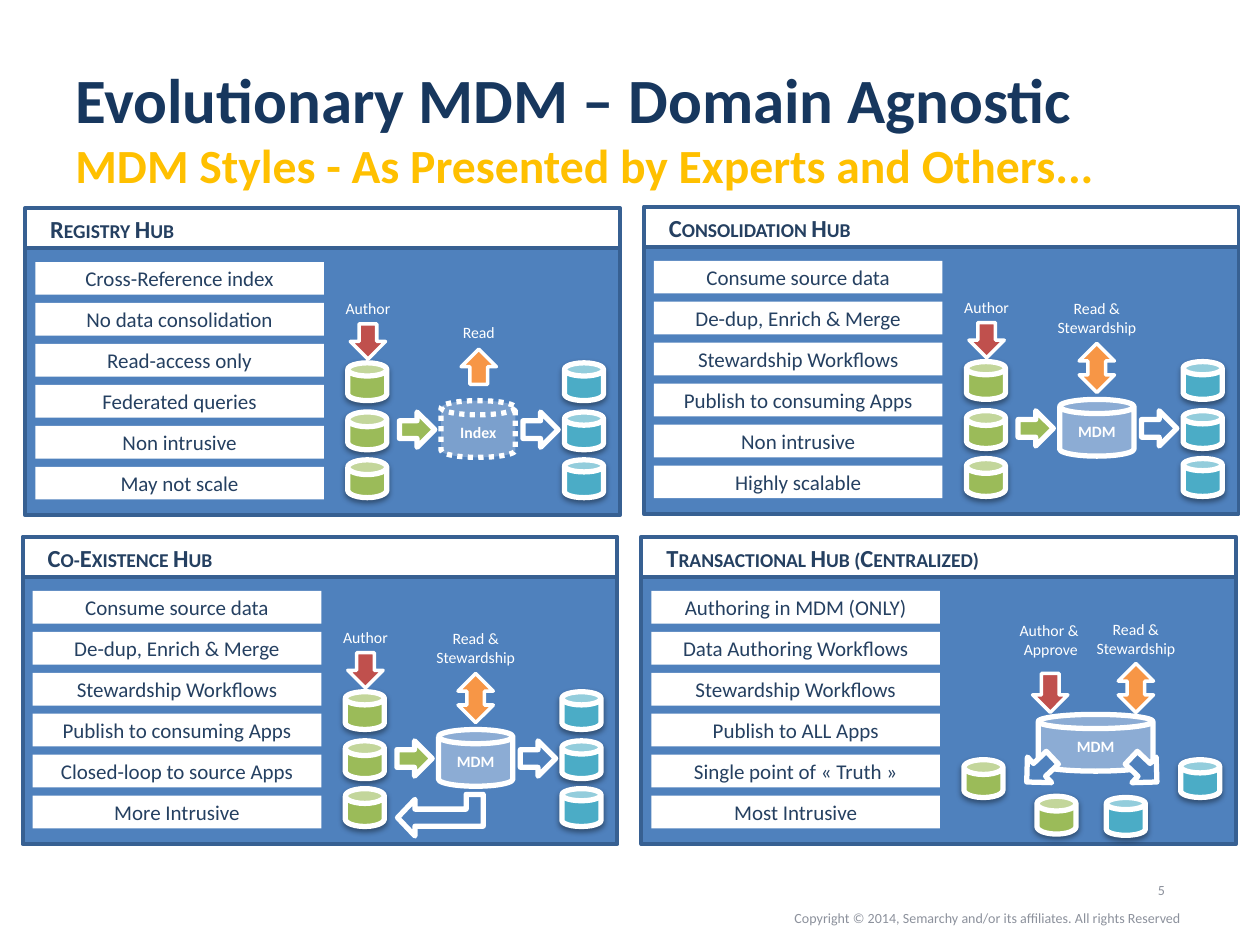
import pptx
import pptx.dml.color
import pptx.enum.dml
import pptx.enum.shapes
import pptx.enum.text
import pptx.oxml
import pptx.oxml.ns
import pptx.util
import lxml.etree

THEME = {
    "font": "Calibri",
    "navy": "17375E", "gold": "FFC000", "ink": "254061", "gray": "8C919C",
    "white": "FFFFFF", "blue": "4F81BD", "border": "376092", "green": "9BBB59",
    "teal": "4BACC6", "orange": "F79646", "red": "C0504D", "shadow": "000000",
    "title": 36, "subtitle": 27.2, "header": 14, "feature": 12, "label": 9, "footer": 8,
}
SHAPE = pptx.enum.shapes.MSO_SHAPE
ALIGN = pptx.enum.text.PP_ALIGN
ANCHOR = pptx.enum.text.MSO_ANCHOR

# Title and footer: text, (left, top, width, height), size, colour, bold, align, anchor, insets
FRAME_TEXTS = [
    ("Copyright © 2014, Semarchy and/or its affiliates. All rights Reserved ",
     (3.2, 7.17, 6.3, 0.2), "footer", "gray", False, ALIGN.RIGHT, ANCHOR.TOP, (0.05, 0.05)),
    ("Evolutionary MDM – Domain Agnostic",
     (0.5, 0.3, 9, 0.78), "title", "navy", True, ALIGN.LEFT, ANCHOR.BOTTOM, (0, 0)),
    ("5", (9.09, 6.95, 0.41, 0.18), "footer", "gray", False, ALIGN.LEFT, ANCHOR.TOP, (0.05, 0.05)),
    ("MDM Styles - As Presented by Experts and Others...",
     (0.5, 1.08, 9, 0.5), "subtitle", "gold", True, ALIGN.LEFT, ANCHOR.TOP, (0, 0.05)),
]

# Diagram parts, placed from the corner of their panel
ROWS = (1.23, 1.62, 2.0)
SOURCES = [("green", 2.56, y, squash) for y, squash in zip(ROWS, (0.35, 0.39, 0.39))]
CONSUMERS = [("teal", 4.28, y, squash) for y, squash in zip(ROWS, (0.35, 0.35, 0.32))]
SMALL, WIDE = (0.28, 0.28), (0.39, 0.28)
# Arrows: preset, colour, position, size, rotation, line width
AUTHOR_ARROW = (SHAPE.RIGHT_ARROW, "red", (2.58, 0.92), SMALL, 90, 2)
IN_ARROW = (SHAPE.RIGHT_ARROW, "green", (2.97, 1.62), SMALL, 0, 3)
OUT_ARROW = (SHAPE.RIGHT_ARROW, "blue", (3.95, 1.62), SMALL, 0, 3)
READ_ARROW = (SHAPE.RIGHT_ARROW, "orange", (3.46, 1.12), SMALL, 270, 2)
STEWARD_ARROW = (SHAPE.LEFT_RIGHT_ARROW, "orange", (3.4, 1.14), WIDE, 270, 2)
LOOP_ARROW = (SHAPE.BENT_UP_ARROW, "blue", (3.15, 1.87), (0.33, 0.68), 90, 3)
# Labels: text, (left, top, width, height)
AUTHOR = ("Author", (2.43, 0.67, 0.58, 0.25))
STEWARD = ("Read &\nStewardship", (3.16, 0.68, 0.87, 0.4))
MDM_HUB = ("MDM", (3.3, 1.53, 0.59, 0.45), 35)

PANELS = [
    {"name": "Registry Hub", "corner": (0.2, 1.65),
     "features": ["Cross-Reference index", "No data consolidation", "Read-access only",
                  "Federated queries", "Non intrusive", "May not scale"],
     "stores": SOURCES + CONSUMERS, "hub": ("Index", MDM_HUB[1], 25),
     "arrows": [IN_ARROW, OUT_ARROW, READ_ARROW, AUTHOR_ARROW],
     "labels": [AUTHOR, ("Read", (3.36, 0.86, 0.48, 0.25))]},
    {"name": "Consolidation Hub", "corner": (5.11, 1.64),
     "features": ["Consume source data", "De-dup, Enrich & Merge", "Stewardship Workflows",
                  "Publish to consuming Apps", "Non intrusive", "Highly scalable"],
     "stores": SOURCES + CONSUMERS, "hub": MDM_HUB,
     "arrows": [IN_ARROW, OUT_ARROW, STEWARD_ARROW, AUTHOR_ARROW],
     "labels": [AUTHOR, STEWARD]},
    {"name": "Co-Existence Hub", "corner": (0.18, 4.26),
     "features": ["Consume source data", "De-dup, Enrich & Merge", "Stewardship Workflows",
                  "Publish to consuming Apps", "Closed-loop to source Apps", "More Intrusive"],
     "stores": SOURCES + CONSUMERS, "hub": MDM_HUB,
     "arrows": [IN_ARROW, OUT_ARROW, STEWARD_ARROW, AUTHOR_ARROW, LOOP_ARROW],
     "labels": [AUTHOR, STEWARD]},
    {"name": "Transactional Hub (Centralized)", "corner": (5.09, 4.26),
     "features": ["Authoring in MDM (ONLY)", "Data Authoring Workflows", "Stewardship Workflows",
                  "Publish to ALL Apps", "Single point of «\u00a0Truth\u00a0»", "Most Intrusive"],
     "stores": [("green", 2.56, 1.77, 0.39), ("green", 3.14, 2.06, 0.39),
                ("teal", 4.28, 1.77, 0.35), ("teal", 3.69, 2.07, 0.32)],
     "hub": ("MDM", (3.15, 1.41, 0.91, 0.45), 35),
     "arrows": [(SHAPE.RIGHT_ARROW, "blue", (3.02, 1.71), SMALL, 136.6, 3),
                (SHAPE.LEFT_RIGHT_ARROW, "orange", (3.73, 1.06), WIDE, 270, 2),
                (SHAPE.RIGHT_ARROW, "red", (3.09, 1.1), (0.31, 0.28), 90, 2),
                (SHAPE.RIGHT_ARROW, "blue", (3.85, 1.71), SMALL, 43.4, 3)],
     "labels": [("Author & \nApprove", (2.89, 0.62, 0.72, 0.4)),
                (STEWARD[0], (3.49, 0.61, 0.87, 0.4))]},
]


def rgb(colour):
    return pptx.dml.color.RGBColor.from_string(THEME[colour])


def inches(box):
    return [pptx.util.Inches(length) for length in box]


def write(holder, text, size, colour, bold=False, align=ALIGN.CENTER, anchor=ANCHOR.MIDDLE, wrap=True):
    frame = holder.text_frame
    frame.text = text
    frame.word_wrap = wrap
    frame.vertical_anchor = anchor
    for paragraph in frame.paragraphs:
        paragraph.alignment = align
        for run in paragraph.runs:
            run.font.name = THEME["font"]
            run.font.size = pptx.util.Pt(THEME[size])
            run.font.bold = bold
            run.font.color.rgb = rgb(colour)
    return frame


def add_preset(slide, preset, box, fill, line=None, width=0):
    part = slide.shapes.add_shape(preset, *inches(box))
    part.shadow.inherit = False
    part.fill.solid()
    part.fill.fore_color.rgb = rgb(fill)
    if line:
        part.line.color.rgb = rgb(line)
        part.line.width = pptx.util.Pt(width)
    else:
        part.line.fill.background()
    return part


def add_child(parent, tag, **attributes):
    return lxml.etree.SubElement(parent, pptx.oxml.ns.qn(tag),
                                 {key: str(value) for key, value in attributes.items()})


def first(part, tag):
    return next(part.element.iter(pptx.oxml.ns.qn(tag)))


def add_store(slide, box, colour, squash):
    store = add_preset(slide, SHAPE.CAN, box, colour, "white", 3)
    store.adjustments[0] = squash
    shadow = add_child(first(store, "a:effectLst"), "a:outerShdw", blurRad=pptx.util.Pt(3.1),
                       dist=pptx.util.Pt(1.6), dir=90 * 60000, rotWithShape=0)
    add_child(add_child(shadow, "a:srgbClr", val=THEME["shadow"]), "a:alpha", val=38000)


def add_hub(slide, text, box, opacity):
    hub = add_preset(slide, SHAPE.CAN, box, "white", "white", 3)
    hub.adjustments[0] = 0.25
    add_child(first(hub, "a:srgbClr"), "a:alpha", val=opacity * 1000)
    if text == "Index":
        hub.line.dash_style = pptx.enum.dml.MSO_LINE.ROUND_DOT
    write(hub, text, "label", "white", bold=True)


def add_arrow(slide, preset, colour, box, rotation, width):
    arrow = add_preset(slide, preset, box, colour, "white", width)
    arrow.rotation = rotation
    if preset == SHAPE.BENT_UP_ARROW:
        for index, share in enumerate((0.41, 0.44, 0.42)):
            arrow.adjustments[index] = share
        first(arrow, "a:xfrm").set("flipV", "1")


def add_panel(slide, panel):
    left, top = panel["corner"]

    def place(x, y, *size):
        return (left + x, top + y, *size)

    header = add_preset(slide, SHAPE.RECTANGLE, place(0, 0, 4.72, 2.42), "white", "border", 2.25)
    name = write(header, panel["name"], "header", "ink", True, ALIGN.LEFT, ANCHOR.TOP).paragraphs[0]
    first(header, "a:pPr").set("marL", str(pptx.util.Inches(0.1)))
    name.runs[0].font._element.set("cap", "small")
    add_preset(slide, SHAPE.RECTANGLE, place(0, 0.32, 4.72, 2.12), "blue", "border", 2.25)

    for colour, x, y, squash in panel["stores"]:
        add_store(slide, place(x, y, 0.31, 0.3), colour, squash)
    hub_text, hub_box, opacity = panel["hub"]
    add_hub(slide, hub_text, place(*hub_box), opacity)
    for preset, colour, corner, size, rotation, width in panel["arrows"]:
        add_arrow(slide, preset, colour, place(*corner, *size), rotation, width)
    for row, feature in enumerate(panel["features"]):
        bar = add_preset(slide, SHAPE.RECTANGLE, place(0.08, 0.43 + row * 0.325, 2.29, 0.26), "white")
        write(bar, feature, "feature", "ink")
    for text, box in panel["labels"]:
        label = slide.shapes.add_textbox(*inches(place(*box)))
        write(label, text, "label", "white", anchor=ANCHOR.TOP, wrap=False)


def main():
    deck = pptx.Presentation()
    deck.slide_width, deck.slide_height = inches((10, 7.5))
    slide = deck.slides.add_slide(deck.slide_layouts[6])
    for text, box, size, colour, bold, align, anchor, insets in FRAME_TEXTS:
        frame = write(slide.shapes.add_textbox(*inches(box)), text, size, colour, bold, align, anchor)
        frame.margin_top, frame.margin_bottom = inches(insets)
    for panel in PANELS:
        add_panel(slide, panel)
    deck.save("out.pptx")


if __name__ == "__main__":
    main()
